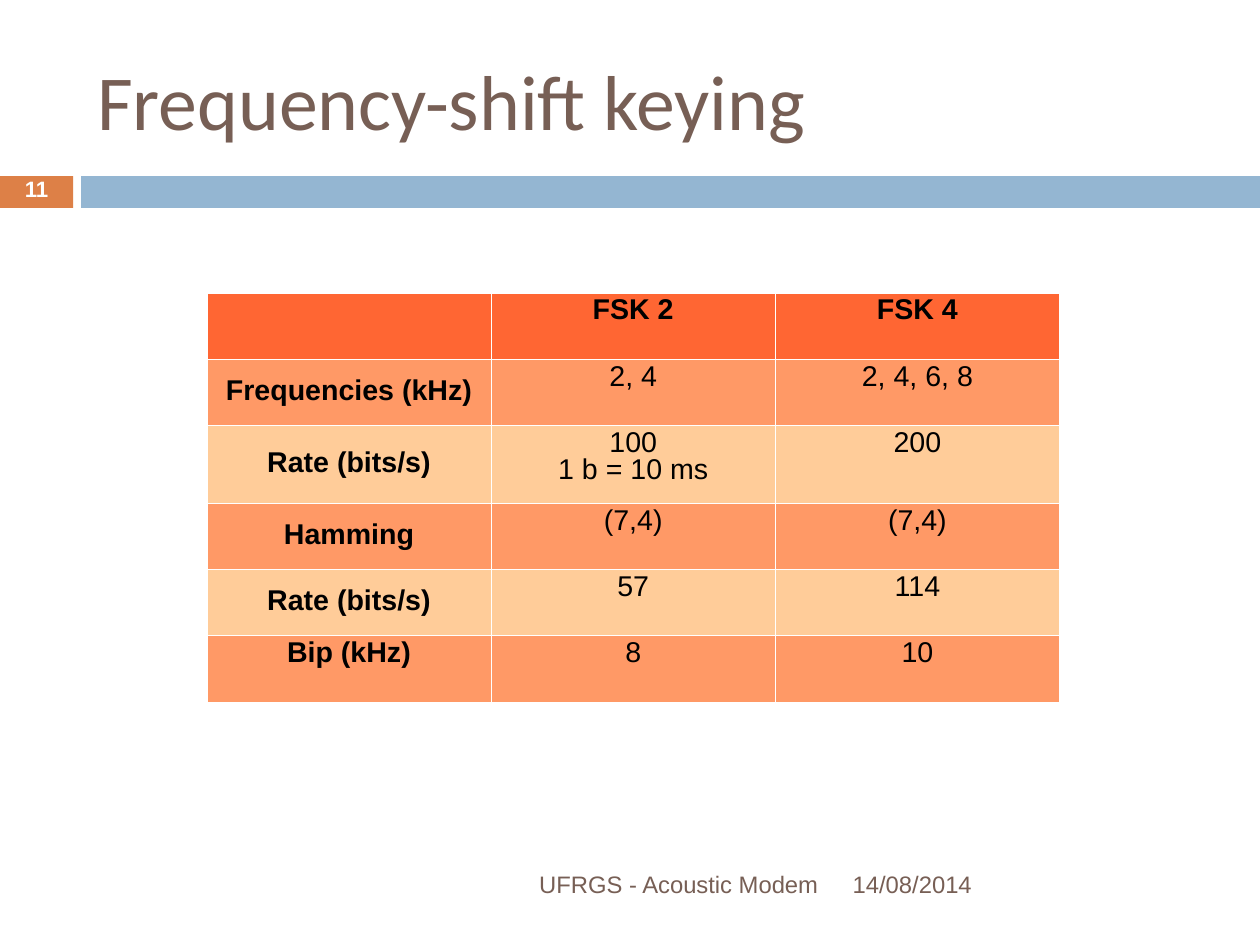
from dataclasses import dataclass

from lxml.etree import SubElement
from pptx import Presentation
from pptx.dml.color import RGBColor
from pptx.enum.shapes import MSO_SHAPE
from pptx.enum.text import MSO_ANCHOR as ANCHOR, PP_ALIGN as ALIGN
from pptx.oxml.ns import qn
from pptx.util import Inches, Pt


@dataclass(frozen=True)
class Theme:
    brown: str = "775F55"
    orange: str = "DD8047"
    blue: str = "94B6D2"
    white: str = "FFFFFF"
    black: str = "000000"
    header: str = "FF6633"
    bands: tuple = ("FF9966", "FFCC99")
    heading_font: str = "Calibri"
    body_font: str = "Arial"
    title_size: int = 49
    table_size: int = 18
    footer_size: int = 15
    number_size: int = 14
    border_pt: float = 0.06


THEME = Theme()

CM_PER_INCH = 2.54
SLIDE_WIDTH = 28 / CM_PER_INCH
SLIDE_HEIGHT = 21 / CM_PER_INCH

ROWS = [
    ("", "FSK 2", "FSK 4"),
    ("Frequencies (kHz)", "2, 4", "2, 4, 6, 8"),
    ("Rate (bits/s)", "100\n1 b = 10 ms", "200"),
    ("Hamming", "(7,4)", "(7,4)"),
    ("Rate (bits/s)", "57", "114"),
    ("Bip (kHz)", "8", "10"),
]
ROW_HEIGHTS = (0.58, 0.58, 0.68, 0.58, 0.58, 0.58)
TABLE_WIDTH = 7.46


def style_paragraph(p, size, color, font=THEME.body_font, bold=False,
                    align=ALIGN.LEFT, spacing=1.0):
    p.alignment = align
    p.line_spacing = spacing
    p.font.size = Pt(size)
    p.font.name = font
    p.font.bold = bold
    p.font.color.rgb = RGBColor.from_string(color)


def add_bar(s, left, width, color):
    bar = s.shapes.add_shape(MSO_SHAPE.RECTANGLE, Inches(left), Inches(1.54),
                             Inches(width), Inches(0.28))
    bar.shadow.inherit = False
    bar.fill.solid()
    bar.fill.fore_color.rgb = RGBColor.from_string(color)
    bar.line.fill.background()


def add_text(s, box, text, size, color, top_inset=0.06, **style):
    tf = s.shapes.add_textbox(*map(Inches, box)).text_frame
    tf.word_wrap = True
    tf.vertical_anchor = ANCHOR.MIDDLE
    tf.margin_left = tf.margin_right = Inches(0.11)
    tf.margin_top, tf.margin_bottom = Inches(top_inset), Inches(0.06)
    tf.text = text
    style_paragraph(tf.paragraphs[0], size, color, **style)


def add_borders(cell):
    tc_pr = cell._tc.get_or_add_tcPr()
    for side in ("a:lnL", "a:lnR", "a:lnT", "a:lnB"):
        ln = SubElement(tc_pr, qn(side), w=str(Pt(THEME.border_pt)))
        fill = SubElement(ln, qn("a:solidFill"))
        SubElement(fill, qn("a:srgbClr"), val=THEME.white)


def fill_cell(cell, text, color, bold, anchor):
    cell.margin_left = cell.margin_right = Inches(0.1)
    cell.margin_top = cell.margin_bottom = Inches(0.05)
    cell.vertical_anchor = anchor
    add_borders(cell)
    cell.fill.solid()
    cell.fill.fore_color.rgb = RGBColor.from_string(color)
    cell.text = text
    for p in cell.text_frame.paragraphs:
        style_paragraph(p, THEME.table_size, THEME.black, bold=bold,
                        align=ALIGN.CENTER, spacing=0.84)


def add_fsk_table(s):
    columns = len(ROWS[0])
    table = s.shapes.add_table(
        len(ROWS), columns, Inches(1.81), Inches(2.56),
        Inches(TABLE_WIDTH), Inches(sum(ROW_HEIGHTS))).table
    for column in table.columns:
        column.width = Inches(TABLE_WIDTH / columns)
    last = len(ROWS) - 1
    for i, (texts, height) in enumerate(zip(ROWS, ROW_HEIGHTS)):
        table.rows[i].height = Inches(height)
        color = THEME.bands[(i - 1) % 2] if i else THEME.header
        for j, text in enumerate(texts):
            middle = j == 0 and 0 < i < last
            fill_cell(table.cell(i, j), text, color, bold=i == 0 or j == 0,
                      anchor=ANCHOR.MIDDLE if middle else ANCHOR.TOP)


def main():
    prs = Presentation()
    prs.slide_width = Inches(SLIDE_WIDTH)
    prs.slide_height = Inches(SLIDE_HEIGHT)
    s = prs.slides.add_slide(prs.slide_layouts[6])

    add_bar(s, 0, 0.64, THEME.orange)
    add_bar(s, 0.71, SLIDE_WIDTH - 0.71, THEME.blue)
    add_text(s, (0.74, 0.28, 9.83, 1.19), "Frequency-shift keying",
             THEME.title_size, THEME.brown, top_inset=0.04,
             font=THEME.heading_font)
    add_text(s, (7.35, 7.53, 3.22, 0.44), "14/08/2014",
             THEME.footer_size, THEME.brown, spacing=0.94)
    add_text(s, (0.73, 7.53, 6.54, 0.44), "UFRGS - Acoustic Modem",
             THEME.footer_size, THEME.brown, align=ALIGN.RIGHT, spacing=0.94)
    add_text(s, (0, 1.53, 0.64, 0.29), "11", THEME.number_size, THEME.white,
             bold=True, align=ALIGN.CENTER, spacing=0.74)
    add_fsk_table(s)

    prs.save("out.pptx")


if __name__ == "__main__":
    main()
